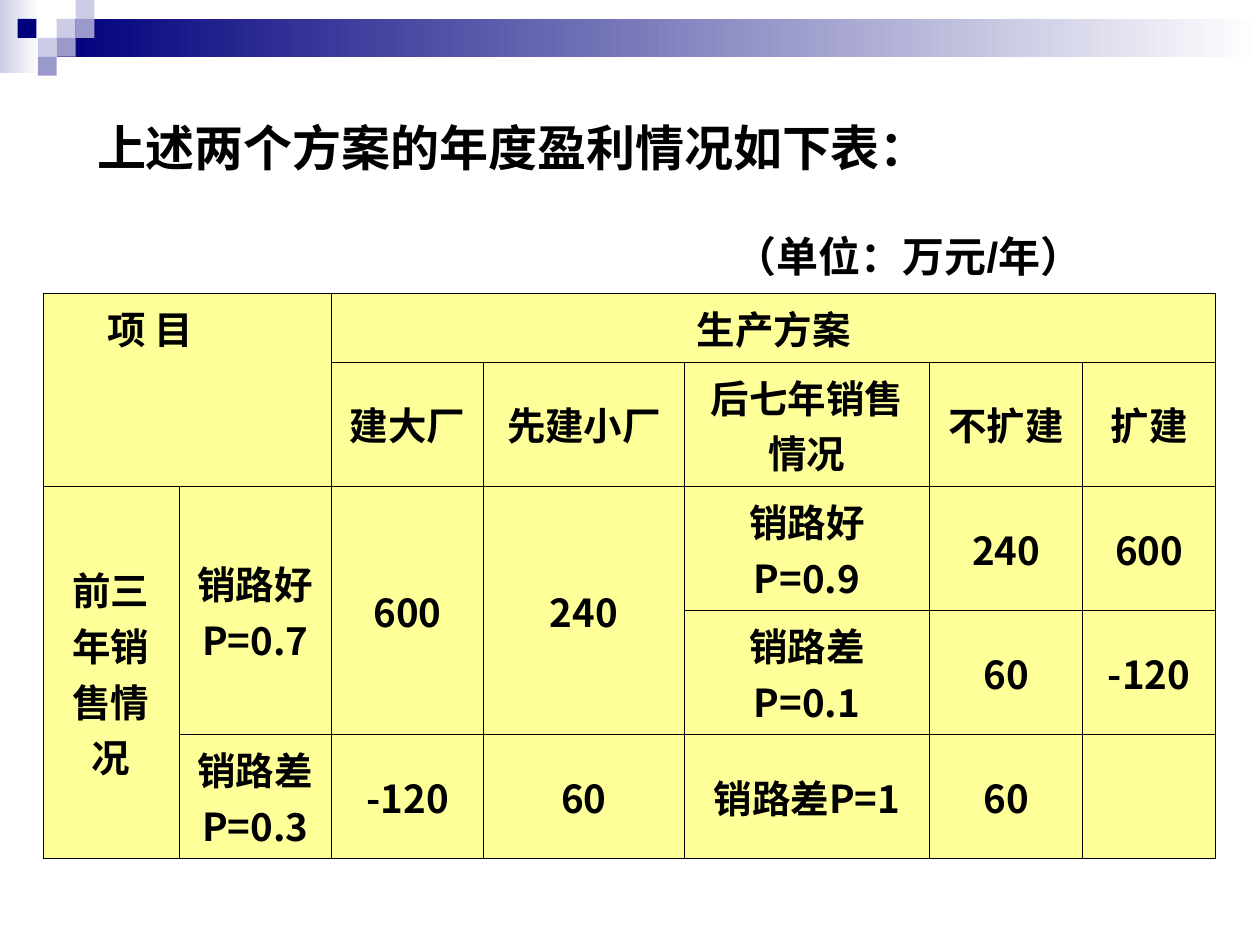
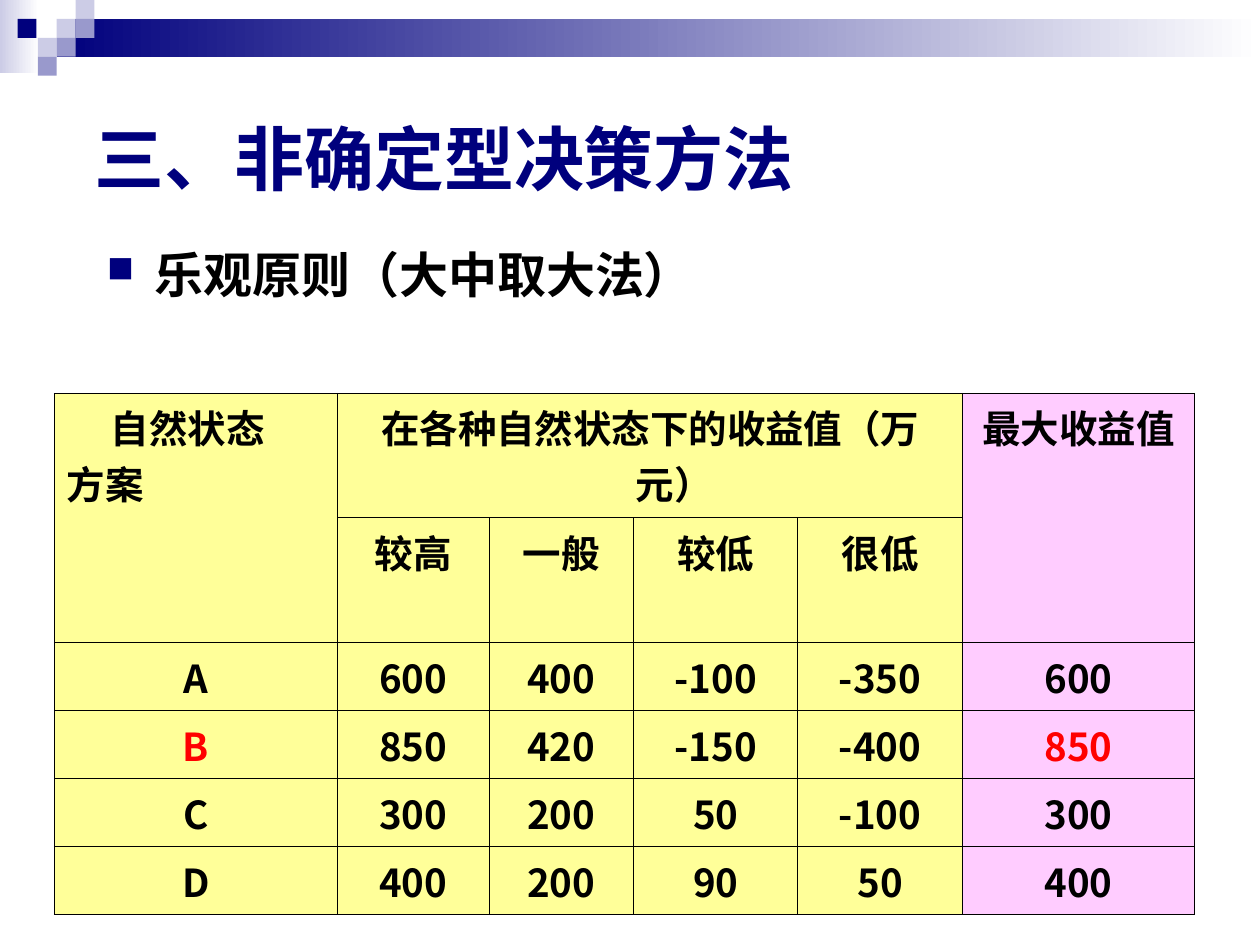
from lxml.etree import SubElement
from pptx import Presentation
from pptx.dml.color import RGBColor
from pptx.enum.shapes import MSO_SHAPE
from pptx.enum.text import MSO_ANCHOR, MSO_AUTO_SIZE, PP_ALIGN
from pptx.oxml import parse_xml
from pptx.oxml.ns import nsdecls, qn
from pptx.util import Inches, Pt

NAVY = RGBColor(0x00, 0x00, 0x7D)
MID = RGBColor(0x99, 0x99, 0xCC)
PALE = RGBColor(0xCC, 0xCC, 0xE6)
WHITE = RGBColor(0xFF, 0xFF, 0xFF)
BLACK = RGBColor(0x00, 0x00, 0x00)
RED = RGBColor(0xFF, 0x00, 0x00)
YELLOW = RGBColor(0xFF, 0xFF, 0x99)
PINK = RGBColor(0xFF, 0xCC, 0xFF)
LATIN, HAN = "Arial", "Noto Sans CJK SC"
TILE = 0.15
HANG = 0.38


def style(para, size, color=BLACK, face=LATIN):
    for run in para.runs:
        font = run.font
        font.name, font.size, font.bold = face, Pt(size), True
        font.color.rgb = color
        SubElement(font._element, qn("a:ea"), typeface=HAN)


def indent(para, left, first=0):
    props = para._p.get_or_add_pPr()
    props.set("marL", str(Inches(left)))
    props.set("indent", str(Inches(first)))
    return props


def add_rect(shapes, box, color, fade=False):
    rect = shapes.add_shape(MSO_SHAPE.RECTANGLE, *map(Inches, box))
    rect.shadow.inherit = False
    rect.line.fill.background()
    if fade:
        rect.fill.gradient()
        rect.fill.gradient_angle = 0
        for stop, tint in zip(rect.fill.gradient_stops, (color, WHITE)):
            stop.color.rgb = tint
    else:
        rect.fill.solid()
        rect.fill.fore_color.rgb = color


def add_band(slide):
    """Draw the top band and move it to the layout that all slides share."""
    band = slide.shapes.add_group_shape()
    add_rect(band.shapes, (0, 0, 0.31, 0.58), PALE, fade=True)
    add_rect(band.shapes, (3 * TILE, TILE, 9.55, 2 * TILE), NAVY, fade=True)
    tiles = [(3, 1, PALE), (4, 0, PALE), (4, 1, MID), (2, 2, PALE),
             (0.93, 1, NAVY), (3, 2, MID), (2, 3, MID)]
    for col, row, color in tiles:
        add_rect(band.shapes, (col * TILE, row * TILE, TILE, TILE), color)
    slide.slide_layout.shapes.element.insert(2, band.element)


def set_title(slide, box, text, size, color):
    title = slide.shapes.title
    title.left, title.top, title.width, title.height = map(Inches, box)
    frame = title.text_frame
    frame.text = text
    frame.auto_size = MSO_AUTO_SIZE.NONE
    frame.vertical_anchor = MSO_ANCHOR.MIDDLE
    for para in frame.paragraphs:
        para.alignment = PP_ALIGN.LEFT
        style(para, size, color)
    return frame


def add_bullet(slide, box, text):
    frame = slide.shapes.add_textbox(*map(Inches, box)).text_frame
    frame.word_wrap = True
    frame.text = text
    para = frame.paragraphs[0]
    para.line_spacing = 0.9
    props = indent(para, HANG, -HANG)
    color = SubElement(props, qn("a:buClr"))
    SubElement(color, qn("a:srgbClr"), val=str(NAVY))
    SubElement(props, qn("a:buSzPct"), val="75000")
    SubElement(props, qn("a:buChar"), char="■")
    style(para, 28)


def add_border(cell):
    props = cell._tc.get_or_add_tcPr()
    for spot, side in enumerate(("lnL", "lnR", "lnT", "lnB")):
        props.insert(spot, parse_xml(
            f'<a:{side} {nsdecls("a")} w="{Pt(0.45)}"><a:solidFill>'
            f'<a:srgbClr val="{BLACK}"/></a:solidFill></a:{side}>'))


def add_grid(slide, left, top, widths, heights, rows, spans):
    """Add a table; spans lists (row, column, rows, columns) of merged cells."""
    grid = slide.shapes.add_table(
        len(heights), len(widths), Inches(left), Inches(top),
        Inches(sum(widths)), Inches(sum(heights))).table
    grid.first_row = grid.horz_banding = False
    for col, width in zip(grid.columns, widths):
        col.width = Inches(width)
    for line, height, texts in zip(grid.rows, heights, rows):
        line.height = Inches(height)
        for cell, text in zip(line.cells, texts):
            cell.fill.solid()
            cell.fill.fore_color.rgb = YELLOW
            add_border(cell)
            cell.text = text
            for para in cell.text_frame.paragraphs:
                para.alignment = PP_ALIGN.CENTER
                style(para, 22, face=HAN)
    for row, col, down, across in spans:
        grid.cell(row, col).merge(grid.cell(row + down - 1, col + across - 1))
    return grid


def align_left(cell, shift):
    """Left-align a corner cell, with its first paragraph shifted."""
    for para in cell.text_frame.paragraphs:
        para.alignment = PP_ALIGN.LEFT
    indent(cell.text_frame.paragraphs[0], shift)


def fill_profit(slide):
    frame = set_title(slide, (0.67, 0.91, 9, 1.34),
                      "上述两个方案的年度盈利情况如下表：\n（单位：万元/年）", 28, BLACK)
    unit = frame.paragraphs[1]
    unit.space_before = Pt(31)
    indent(unit, 5.06)
    unit.runs[0].font.size = Pt(24)

    rows = [
        ["项 目", "", "生产方案", "", "", "", ""],
        ["", "", "建大厂", "先建小厂", "后七年销售情况", "不扩建", "扩建"],
        ["前三年销售情况", "销路好\nP=0.7", "600", "240", "销路好P=0.9", "240", "600"],
        ["", "", "", "", "销路差P=0.1", "60", "-120"],
        ["", "销路差\nP=0.3", "-120", "60", "销路差P=1", "60", ""],
    ]
    spans = [(0, 0, 2, 2), (0, 2, 1, 5), (2, 0, 3, 1),
             (2, 1, 2, 1), (2, 2, 2, 1), (2, 3, 2, 1)]
    grid = add_grid(slide, 0.34, 2.33, [1.08, 1.21, 1.21, 1.59, 1.95, 1.21, 1.06],
                    [0.54, 0.99] + [0.98] * 3, rows, spans)
    align_left(grid.cell(0, 0), 0.41)
    for row in range(1, len(rows)):
        for col in range(len(rows[0])):
            grid.cell(row, col).vertical_anchor = MSO_ANCHOR.MIDDLE


def fill_method(slide):
    set_title(slide, (0.65, 0.5, 9, 1.5), "三、非确定型决策方法", 40, NAVY)
    add_bullet(slide, (0.75, 1.94, 8.76, 0.71), "乐观原则（大中取大法）")

    gains = {"A": (600, 400, -100, -350), "B": (850, 420, -150, -400),
             "C": (300, 200, 50, -100), "D": (400, 200, 90, 50)}
    rows = [
        ["自然状态\n方案", "在各种自然状态下的收益值（万元）", "", "", "", "最大收益值"],
        ["", "较高", "一般", "较低", "很低", ""],
    ]
    rows += [[plan, *map(str, vals), str(max(vals))] for plan, vals in gains.items()]
    spans = [(0, 0, 2, 1), (0, 1, 1, 4), (0, 5, 2, 1)]
    grid = add_grid(slide, 0.43, 3.12, [2.25, 1.2, 1.15, 1.3, 1.31, 1.84],
                    [0.99] * 2 + [0.54] * 4, rows, spans)
    align_left(grid.cell(0, 0), 0.35)
    indent(grid.cell(0, 1).text_frame.paragraphs[0], HANG, -HANG)
    for row in range(len(rows)):
        grid.cell(row, 5).fill.fore_color.rgb = PINK
    best = 2 + max(range(len(gains)), key=lambda spot: max(list(gains.values())[spot]))
    for col in (0, 5):
        grid.cell(best, col).text_frame.paragraphs[0].runs[0].font.color.rgb = RED


def main():
    deck = Presentation()
    deck.slide_width, deck.slide_height = Inches(10), Inches(7.5)
    layout = deck.slide_layouts[5]
    for fill in (fill_profit, fill_method):
        fill(deck.slides.add_slide(layout))
    add_band(deck.slides[0])
    deck.save("out.pptx")


if __name__ == "__main__":
    main()
